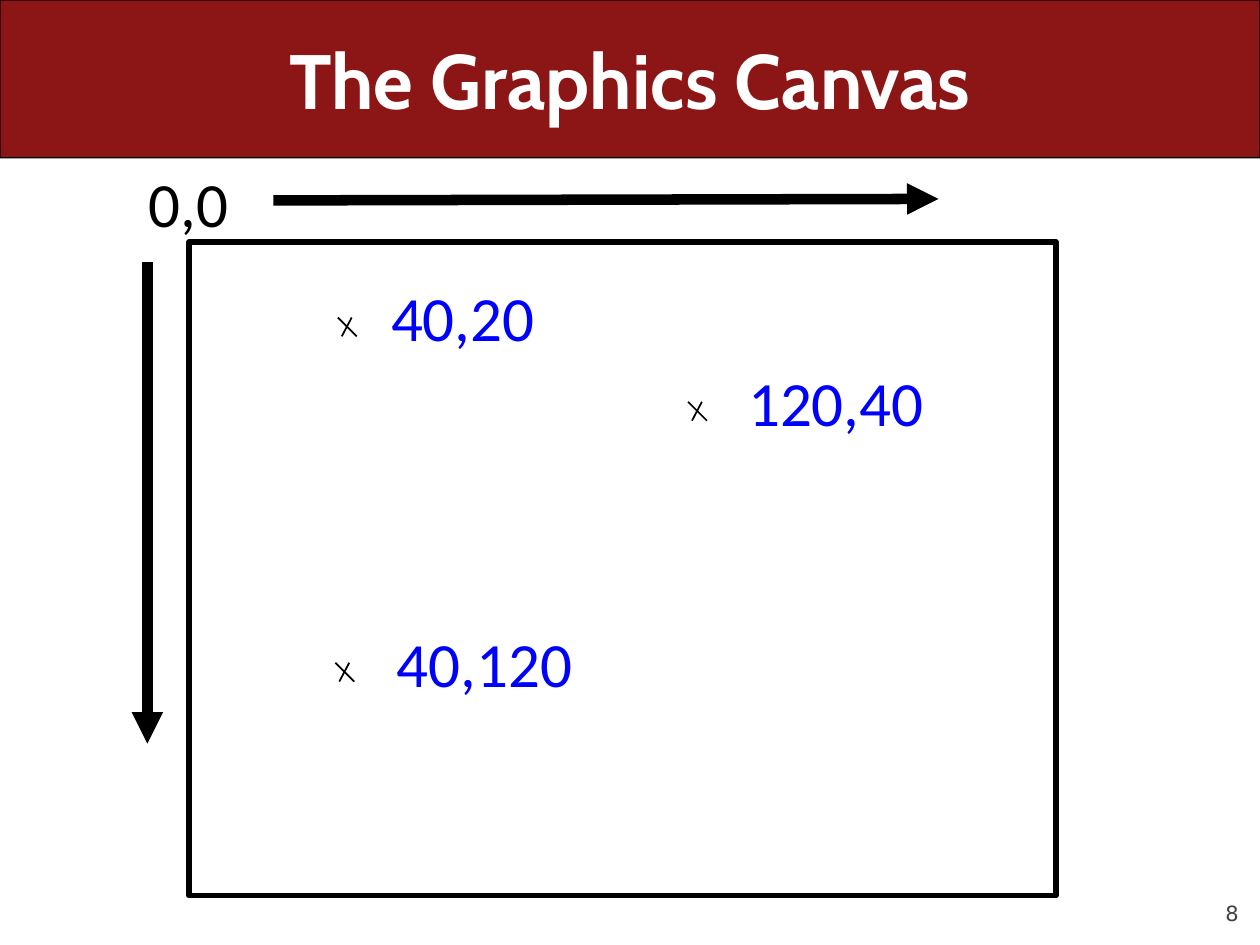
"""Build a slide that explains the coordinates of the graphics canvas."""
from dataclasses import dataclass

from pptx import Presentation
from pptx.dml.color import RGBColor as Rgb
from pptx.enum.shapes import MSO_CONNECTOR as Link, MSO_SHAPE as Preset
from pptx.enum.text import MSO_ANCHOR as Anchor, MSO_AUTO_SIZE as Fit, PP_ALIGN as Align
from pptx.oxml.ns import qn
from pptx.util import Cm, Pt


@dataclass(frozen=True)
class Theme:
    red: Rgb = Rgb(0x8C, 0x15, 0x15)
    white: Rgb = Rgb(0xFF, 0xFF, 0xFF)
    black: Rgb = Rgb(0, 0, 0)
    blue: Rgb = Rgb(0, 0, 0xFF)
    grey: Rgb = Rgb(0x42, 0x42, 0x42)
    title_size: Pt = Pt(44)
    label_size: Pt = Pt(36)
    number_size: Pt = Pt(12)


theme = Theme()


def write(box, text, font, frame_format, align=Align.CENTER):
    frame = box.text_frame
    for name, value in frame_format.items():
        setattr(frame, name, value)
    para = frame.paragraphs[0]
    para.alignment = align
    span = para.add_run()
    span.text = text
    color = font["color"]
    for name, value in font.items():
        if name != "color":
            setattr(span.font, name, value)
    span.font.color.rgb = color


def draw_line(shapes, start, end, width, arrow=False):
    line = shapes.add_connector(Link.STRAIGHT, *map(Cm, start + end))
    line.line.color.rgb = theme.black
    line.line.width = Pt(width)
    properties = line._element.spPr
    if arrow:
        outline = properties.find(qn("a:ln"))
        tail = outline.makeelement(qn("a:tailEnd"), {"type": "triangle"})
        outline.append(tail)
    properties.append(properties.makeelement(qn("a:effectLst"), {}))


deck = Presentation()
deck.slide_width, deck.slide_height = Cm(25.4), Cm(19.05)
page = deck.slides.add_slide(deck.slide_layouts[5])
shapes = page.shapes

number_font = {"name": "DejaVu Sans", "size": theme.number_size, "color": theme.grey}
title_font = {"name": "Cabin", "size": theme.title_size, "color": theme.white, "bold": True}
origin_font = {"name": "Calibri", "size": theme.label_size, "color": theme.black}
point_font = {**origin_font, "color": theme.blue}
label_frame = {"word_wrap": True, "auto_size": Fit.SHAPE_TO_FIT_TEXT}
no_margins = dict.fromkeys(["margin_left", "margin_top", "margin_right", "margin_bottom"], 0)

number = shapes.add_textbox(Cm(22.86), Cm(17.65), Cm(2.11), Cm(1.02))
number_frame = {"word_wrap": True, "vertical_anchor": Anchor.BOTTOM, **no_margins}
write(number, "8", number_font, number_frame, Align.RIGHT)

band = shapes.add_shape(Preset.ROUNDED_RECTANGLE, 0, 0, deck.slide_width, Cm(3.18))
band.adjustments[0] = 0.001
band.fill.solid()
band.fill.fore_color.rgb = theme.red
canvas = shapes.add_shape(Preset.RECTANGLE, Cm(3.81), Cm(4.88), Cm(17.48), Cm(13.18))
canvas.fill.background()
for shape, width in [(band, 0.75), (canvas, 3)]:
    shape.shadow.inherit = False
    shape.line.color.rgb = theme.black
    shape.line.width = Pt(width)

title = shapes.title
title_place = {"left": Cm(1.27), "top": 0, "width": Cm(22.86), "height": Cm(3.18)}
for name, value in title_place.items():
    setattr(title, name, value)
title_frame = {"word_wrap": True, "auto_size": Fit.NONE, "vertical_anchor": Anchor.MIDDLE}
write(title, "The Graphics Canvas", title_font, title_frame)
band._element.addnext(title._element)

origin = shapes.add_textbox(Cm(2.62), Cm(3.2), Cm(2.36), Cm(1.8))
write(origin, "0,0", origin_font, label_frame)

points = [
    ("40,20", 6.81, 6.4, 7.26),
    ("40,120", 6.76, 13.36, 7.7),
    ("120,40", 13.87, 8.1, 14.78),
]
for text, x, y, label_left in points:
    group = shapes.add_group_shape()
    draw_line(group.shapes, (x, y), (x + 0.38, y + 0.38), 1)
    draw_line(group.shapes, (x + 0.28, y), (x + 0.08, y + 0.38), 1)
    label = group.shapes.add_textbox(Cm(label_left), Cm(y - 0.9), Cm(4.14), Cm(1.8))
    write(label, text, point_font, label_frame)

for start, end in [((2.97, 5.28), (2.97, 14.99)), ((5.51, 4.04), (18.92, 4.01))]:
    draw_line(shapes, start, end, 6, arrow=True)

deck.save("out.pptx")
